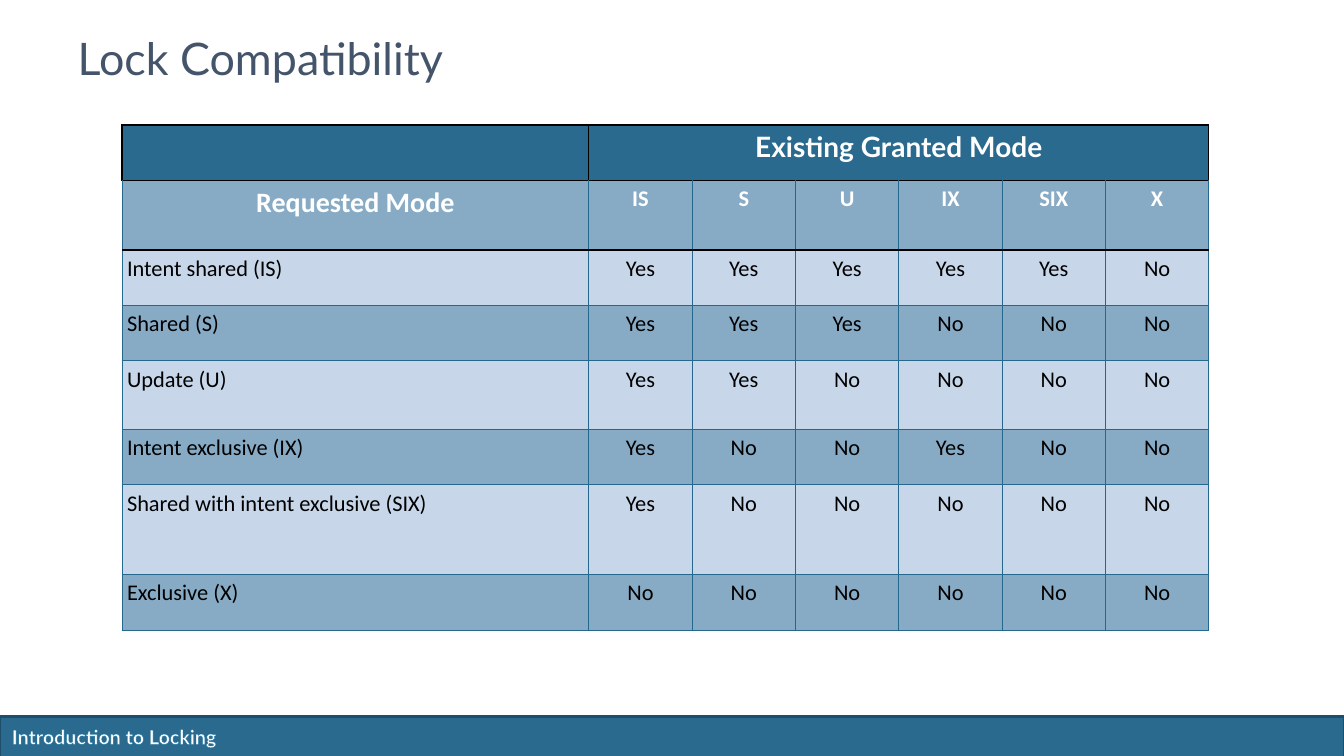
from lxml import etree
from pptx import Presentation, util as u
from pptx.dml.color import RGBColor
from pptx.enum import shapes, text
from pptx.oxml import ns

MODES = ["IS", "S", "U", "IX", "SIX", "X"]
LOCKS = [
    ("Intent shared (IS)", "Yes Yes Yes Yes Yes No"),
    ("Shared (S)", "Yes Yes Yes No No No"),
    ("Update (U)", "Yes Yes No No No No"),
    ("Intent exclusive (IX)", "Yes No No Yes No No"),
    ("Shared with intent exclusive (SIX)", "Yes No No No No No"),
    ("Exclusive (X)", "No No No No No No"),
]
ROW_HEIGHTS = [0.55, 0.69, 0.55, 0.55, 0.68, 0.55, 0.89, 0.55]
TABLE_WIDTH, LABEL_WIDTH = 10.78, 4.63


def rgb(value):
    return RGBColor.from_string(value)


def add_line(parent, tag, color, width):
    """Add a solid DrawingML line, used for cell borders and text outlines."""
    ln = etree.SubElement(parent, ns.qn(tag), w=str(u.Pt(width)))
    fill = etree.SubElement(ln, ns.qn("a:solidFill"))
    etree.SubElement(fill, ns.qn("a:srgbClr"), val=color)
    return ln


class LockSlide:
    HEAD_FONT, BODY_FONT = "Lato", "Calibri"
    BLUE, EDGE, GRID = "296A8E", "1E4E69", "26688D"
    DARK_ROW, LIGHT_ROW = "88ABC5", "C7D7E9"
    WHITE, BLACK, TITLE, OUTLINE = "FFFFFF", "000000", "44546A", "1872A0"

    def __init__(self, prs):
        self.s = prs.slides.add_slide(prs.slide_layouts[5])

    def place(self, sp, left, top, width, height):
        sp.left, sp.top = u.Inches(left), u.Inches(top)
        sp.width, sp.height = u.Inches(width), u.Inches(height)

    def run(self, p, words, size, color, font, bold=False):
        r = p.add_run()
        r.text = words
        r.font.size, r.font.name, r.font.bold = u.Pt(size), font, bold
        r.font.color.rgb = rgb(color)
        return r

    def title(self, words):
        sp = self.s.shapes.title
        self.place(sp, 0.67, 0.3, 12, 1.25)
        tf = sp.text_frame
        tf.vertical_anchor = text.MSO_ANCHOR.TOP
        p = tf.paragraphs[0]
        p.alignment = text.PP_ALIGN.LEFT
        p.line_spacing = u.Pt(35)
        self.run(p, words, 32, self.TITLE, self.HEAD_FONT)

    def footer(self, words):
        sp = self.s.shapes.add_shape(shapes.MSO_SHAPE.RECTANGLE, 0, 0, 0, 0)
        self.place(sp, 0, 7.11, 13.33, 0.4)
        sp.shadow.inherit = False
        sp.fill.solid()
        sp.fill.fore_color.rgb = rgb(self.BLUE)
        sp.line.color.rgb = rgb(self.EDGE)
        sp.line.width = u.Pt(2)

        sp = self.s.shapes.add_textbox(0, 0, 0, 0)
        self.place(sp, 0.02, 7.14, 6.06, 0.34)
        tf = sp.text_frame
        tf.word_wrap = True
        tf.auto_size = text.MSO_AUTO_SIZE.SHAPE_TO_FIT_TEXT
        r = self.run(tf.paragraphs[0], words, 14, self.WHITE, self.HEAD_FONT, True)
        props = r.font._element
        props.insert(0, add_line(props, "a:ln", self.OUTLINE, 0.8))

    def borders(self, cell, row):
        # The header row and the rules around the mode row are black
        black = {"a:lnL": row == 0, "a:lnR": row == 0,
                 "a:lnT": row <= 2, "a:lnB": row <= 1}
        props = cell._tc.get_or_add_tcPr()
        for i, (tag, is_black) in enumerate(black.items()):
            color, width = (self.BLACK, 1) if is_black else (self.GRID, 0.75)
            props.insert(i, add_line(props, tag, color, width))

    def cell(self, cell, row, col, words):
        cell.margin_left = cell.margin_right = u.Inches(0.05)
        cell.margin_top = cell.margin_bottom = u.Inches(0.05)
        cell.fill.solid()
        band = self.DARK_ROW if row % 2 else self.LIGHT_ROW
        cell.fill.fore_color.rgb = rgb(band if row else self.BLUE)
        self.borders(cell, row)
        if not words:
            return
        p = cell.text_frame.paragraphs[0]
        centred = row < 2 or col > 0
        p.alignment = text.PP_ALIGN.CENTER if centred else text.PP_ALIGN.LEFT
        size = 20 if row == 0 or (row, col) == (1, 0) else 16
        self.run(p, words, size, self.WHITE if row < 2 else self.BLACK,
                 self.BODY_FONT if row else self.HEAD_FONT, row < 2)

    def table(self, rows):
        n_cols = len(rows[0])
        frame = self.s.shapes.add_table(
            len(rows), n_cols, u.Inches(1.21), u.Inches(1.24),
            u.Inches(TABLE_WIDTH), u.Inches(sum(ROW_HEIGHTS)))
        tbl = frame.table
        tbl.first_row = tbl.horz_banding = False
        mode_width = (TABLE_WIDTH - LABEL_WIDTH) / (n_cols - 1)
        for i, column in enumerate(tbl.columns):
            column.width = u.Inches(mode_width if i else LABEL_WIDTH)
        for row, height in zip(tbl.rows, ROW_HEIGHTS):
            row.height = u.Inches(height)
        tbl.cell(0, 1).merge(tbl.cell(0, n_cols - 1))
        for i, row in enumerate(rows):
            for j, words in enumerate(row):
                self.cell(tbl.cell(i, j), i, j, words)


def main():
    prs = Presentation()
    prs.slide_width, prs.slide_height = u.Inches(13.33), u.Inches(7.5)
    slide = LockSlide(prs)

    # Footer bar and title
    slide.footer("Introduction to Locking")
    slide.title("Lock Compatibility")

    # Compatibility matrix
    rows = [["", "Existing Granted Mode"] + [""] * (len(MODES) - 1),
            ["Requested Mode"] + MODES]
    rows += [[lock] + answers.split() for lock, answers in LOCKS]
    slide.table(rows)

    prs.save("out.pptx")


if __name__ == "__main__":
    main()
